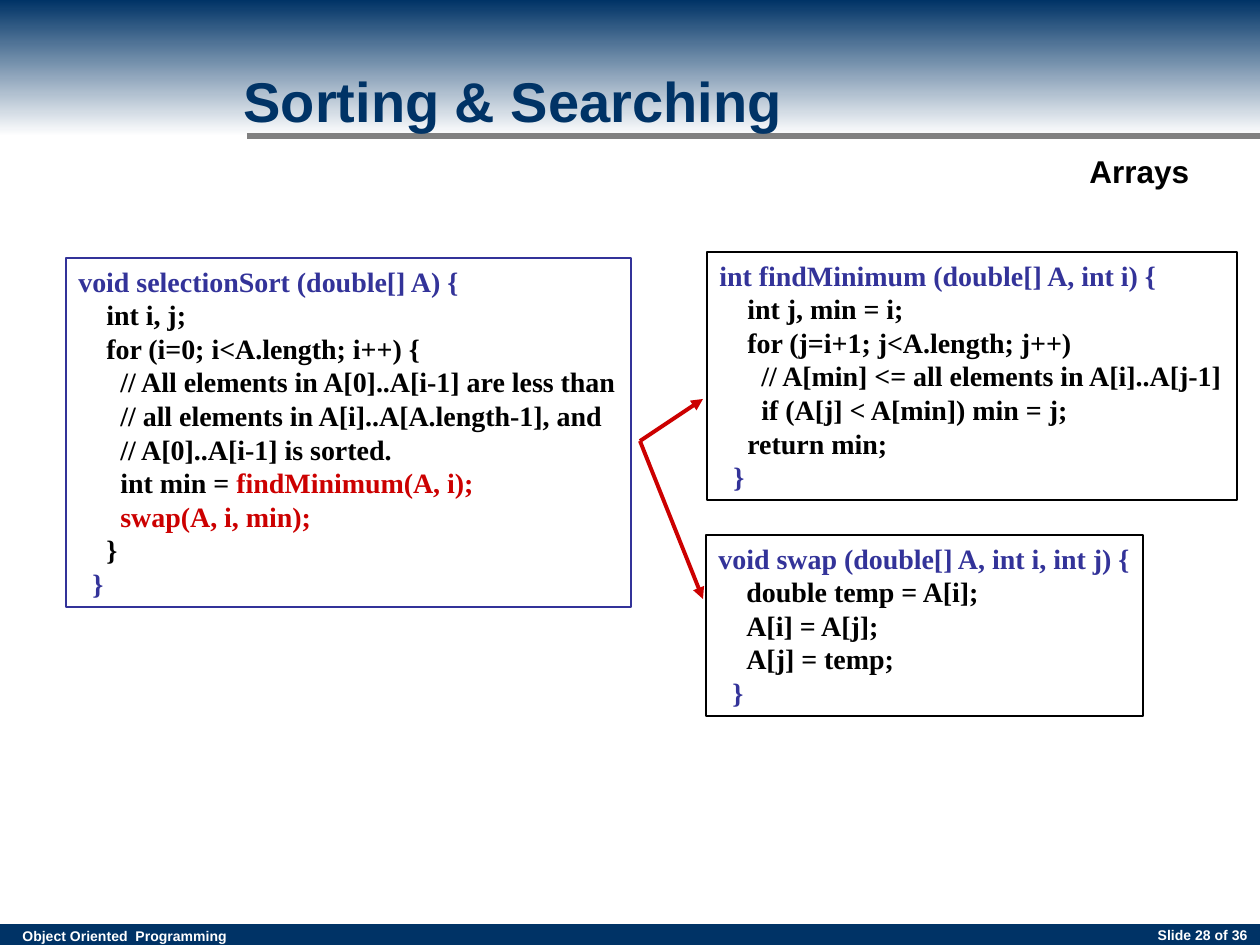
from lxml import etree
from pptx import Presentation
from pptx.dml.color import RGBColor
from pptx.enum.shapes import MSO_CONNECTOR, MSO_SHAPE
from pptx.enum.text import MSO_ANCHOR, MSO_AUTO_SIZE, PP_ALIGN
from pptx.oxml.ns import qn
from pptx.util import Pt

RECTANGLE, STRAIGHT = MSO_SHAPE.RECTANGLE, MSO_CONNECTOR.STRAIGHT
TOP, MIDDLE = MSO_ANCHOR.TOP, MSO_ANCHOR.MIDDLE
LEFT, RIGHT = PP_ALIGN.LEFT, PP_ALIGN.RIGHT
FIT_TEXT, FIXED = MSO_AUTO_SIZE.SHAPE_TO_FIT_TEXT, MSO_AUTO_SIZE.NONE

SCALE = 914400 / 126  # EMU in one px
SPACE = 7             # px of one space of code indent

COLORS = {"navy": "003366", "white": "FFFFFF", "gray": "808080",
          "black": "000000", "indigo": "333399", "red": "CC0000"}

# Content: labels are text, place, size, colour, alignment, wrap
TITLE = ("Sorting & Searching", (231, 21, 1134, 158), 32, "navy")
LABELS = [
    ("Object Oriented  Programming", (10, 921, 237, 30), 8, "white", LEFT, True),
    ("Arrays", (1077, 146, 125, 50), 18, "black", LEFT, False),
    ("Slide 28 of 36", (966, 920, 294, 34), 8, "white", RIGHT, True),
]

# Code boxes: place, border, lines of (indent in spaces, (text, colour)...)
CODE_BOXES = [
    ((66, 258, 565, 349), "indigo", [
        (0, ("void selectionSort (double[] A) {", "indigo")),
        (4, ("int i, j;", "black")),
        (4, ("for (i=0; i<A.length; i++) {", "black")),
        (6, ("// All elements in A[0]..A[i-1] are less than", "black")),
        (6, ("// all elements in A[i]..A[A.length-1], and", "black")),
        (6, ("// A[0]..A[i-1] is sorted.", "black")),
        (6, ("int min = ", "black"), ("findMinimum(A, i);", "red")),
        (6, ("swap(A, i, min);", "red")),
        (4, ("}", "black")),
        (2, ("}", "indigo")),
    ]),
    ((707, 252, 530, 248), "black", [
        (0, ("int findMinimum (double[] A, int i) {", "indigo")),
        (4, ("int j, min = i;", "black")),
        (4, ("for (j=i+1; j<A.length; j++)", "black")),
        (6, ("// A[min] <= all elements in A[i]..A[j-1]", "black")),
        (6, ("if (A[j] < A[min]) min = j;", "black")),
        (4, ("return min;", "black")),
        (2, ("}", "indigo")),
    ]),
    ((706, 535, 437, 181), "black", [
        (0, ("void swap (double[] A, int i, int j) {", "indigo")),
        (4, ("double temp = A[i];", "black")),
        (4, ("A[i] = A[j];", "black")),
        (4, ("A[j] = temp;", "black")),
        (2, ("}", "indigo")),
    ]),
]
CALL_POINT = (640, 441)
CALL_TARGETS = [(703, 399), (703, 599)]


def emu(*lengths):
    return [round(length * SCALE) for length in lengths]


def rgb(color):
    return RGBColor.from_string(COLORS[color])


def format_frame(frame, **values):
    for name, value in values.items():
        setattr(frame, name, value)


def add_span(para, text, size, color, font="Arial"):
    span = para.add_run()
    span.text = text
    values = {"name": font, "size": Pt(size), "bold": True}
    for name, value in values.items():
        setattr(span.font, name, value)
    span.font.color.rgb = rgb(color)


def add_rectangle(page, place):
    box = page.shapes.add_shape(RECTANGLE, *emu(*place))
    box.shadow.inherit = False
    return box


def add_band(page, place):
    band = add_rectangle(page, place)
    band.line.fill.background()
    return band


def add_label(page, text, place, size, color, align, wrap):
    frame = page.shapes.add_textbox(*emu(*place)).text_frame
    format_frame(frame, word_wrap=wrap, auto_size=FIXED if wrap else FIT_TEXT)
    para = frame.paragraphs[0]
    para.alignment = align
    add_span(para, text, size, color)


def add_code(page, place, border, lines):
    box = add_rectangle(page, place)
    box.fill.background()
    box.line.color.rgb = rgb(border)
    box.line.width = Pt(0.75)
    frame = box.text_frame
    format_frame(frame, word_wrap=False, auto_size=FIT_TEXT, vertical_anchor=TOP)
    for number, (indent, *spans) in enumerate(lines):
        para = frame.add_paragraph() if number else frame.paragraphs[0]
        para.alignment = LEFT
        para._p.get_or_add_pPr().set("marL", str(emu(indent * SPACE)[0]))
        for text, color in spans:
            add_span(para, text, 16, color, "Times New Roman")


def add_line(page, start, end, color, width, arrow=False):
    line = page.shapes.add_connector(STRAIGHT, *emu(*start, *end))
    line.line.color.rgb = rgb(color)
    line.line.width = Pt(width)
    if arrow:
        outline = line.line._get_or_add_ln()
        etree.SubElement(outline, qn("a:tailEnd"), type="triangle")
    etree.SubElement(line.element.spPr, qn("a:effectLst"))


def main():
    deck = Presentation()
    deck.slide_width, deck.slide_height = emu(1260, 945)
    page = deck.slides.add_slide(deck.slide_layouts[5])

    # Footer and header bands
    footer = add_band(page, (0, 924, 1260, 21))
    footer.fill.solid()
    footer.fill.fore_color.rgb = rgb("navy")
    header = add_band(page, (0, 0, 1260, 136))
    header.fill.gradient()
    header.fill.gradient_angle = 270
    for stop, color in zip(header.fill.gradient_stops, ("navy", "white")):
        stop.color.rgb = rgb(color)
    add_line(page, (247, 136), (1260, 136), "gray", 3)

    # Title, brought in front of the header band
    text, place, size, color = TITLE
    title = page.shapes.title
    title.left, title.top, title.width, title.height = emu(*place)
    format_frame(title.text_frame, word_wrap=True, auto_size=FIXED,
                 vertical_anchor=MIDDLE)
    para = title.text_frame.paragraphs[0]
    para.alignment = LEFT
    add_span(para, text, size, color)
    title.element.getparent().append(title.element)

    # Labels, code and call arrows
    for label in LABELS:
        add_label(page, *label)
    for code_box in CODE_BOXES:
        add_code(page, *code_box)
    for target in CALL_TARGETS:
        add_line(page, CALL_POINT, target, "red", 2.25, arrow=True)

    deck.save("out.pptx")


if __name__ == "__main__":
    main()
